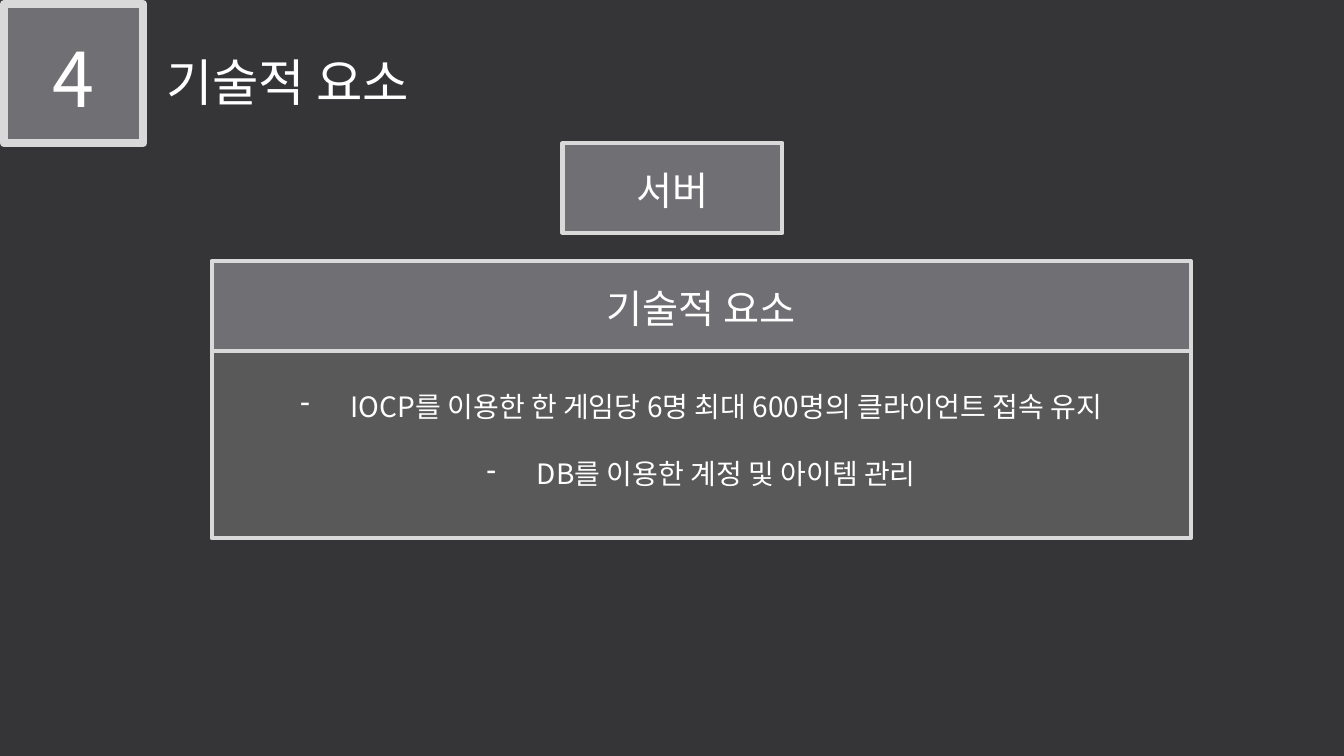
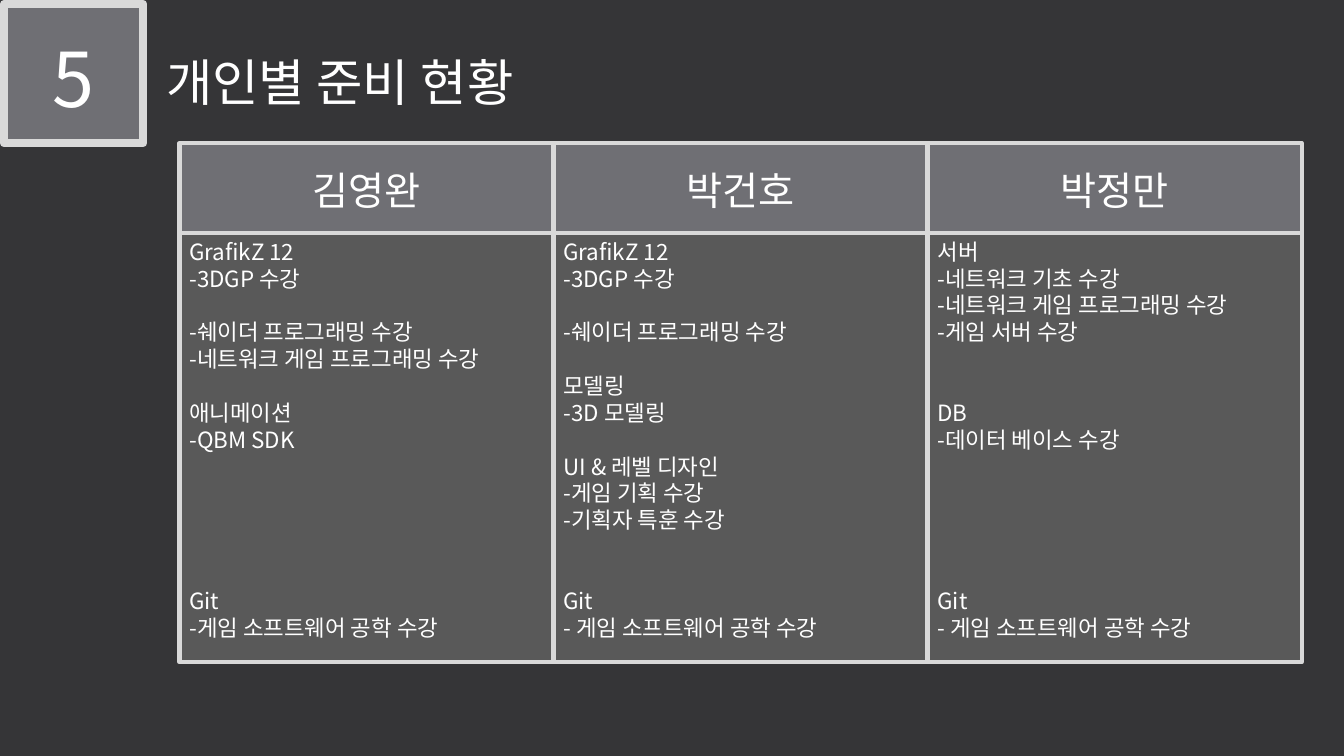
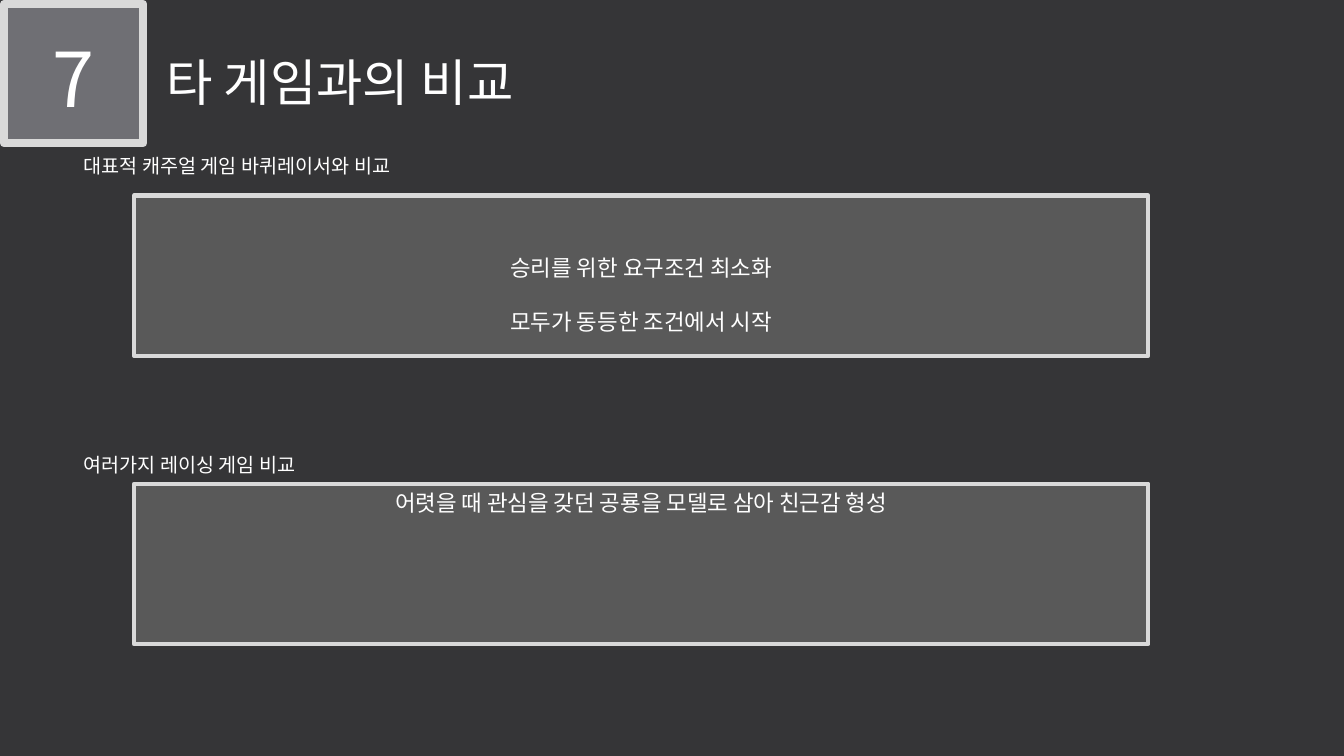
from lxml.etree import SubElement
from pptx import Presentation
from pptx.dml.color import RGBColor
from pptx.enum.shapes import MSO_SHAPE as Shape
from pptx.enum.text import MSO_ANCHOR as Anchor, PP_ALIGN as Align
from pptx.oxml.ns import qn
from pptx.util import Emu, Pt

EMU_PER_PX = 9144  # 100 px to the inch
FONT = "Noto Sans CJK KR"
BACKGROUND, HEADING, BODY = "353537", "6F6F74", "595959"
BORDER, TEXT = "D9D9D9", "FFFFFF"
HEADING_SPACING, BODY_SPACING = 1.3, 1.2
HEADER_HEIGHT = 89
PANEL_BORDER, BADGE_BORDER = 3, 6

# Body lines are (empty lines before, text)
SERVER_POINTS = [
    (1, "IOCP를 이용한 한 게임당 6명 최대 600명의 클라이언트 접속 유지"),
    (1, "DB를 이용한 계정 및 아이템 관리"),
]
MEMBERS = {
    "김영완": [
        (0, "GrafikZ 12"), (0, "-3DGP 수강"),
        (1, "-쉐이더 프로그래밍 수강"), (0, "-네트워크 게임 프로그래밍 수강"),
        (1, "애니메이션"), (0, "-QBM SDK"),
        (5, "Git"), (0, "-게임 소프트웨어 공학 수강"),
    ],
    "박건호": [
        (0, "GrafikZ 12"), (0, "-3DGP 수강"),
        (1, "-쉐이더 프로그래밍 수강"),
        (1, "모델링"), (0, "-3D 모델링"),
        (1, "UI & 레벨 디자인"), (0, "-게임 기획 수강"), (0, "-기획자 특훈 수강"),
        (2, "Git"), (0, "- 게임 소프트웨어 공학 수강"),
    ],
    "박정만": [
        (0, "서버"), (0, "-네트워크 기초 수강"),
        (0, "-네트워크 게임 프로그래밍 수강"), (0, "-게임 서버 수강"),
        (2, "DB"), (0, "-데이터 베이스 수강"),
        (5, "Git"), (0, "- 게임 소프트웨어 공학 수강"),
    ],
}
COMPARISONS = [
    (146, 194, "대표적 캐주얼 게임 바퀴레이서와 비교",
     [(2, "승리를 위한 요구조건 최소화"), (1, "모두가 동등한 조건에서 시작")]),
    (443, 480, "여러가지 레이싱 게임 비교",
     [(0, "어렷을 때 관심을 갖던 공룡을 모델로 삼아 친근감 형성")]),
]


def px(length):
    return Emu(length * EMU_PER_PX)


def color(hex_code):
    return RGBColor.from_string(hex_code)


def style_paragraph(paragraph, size, align, spacing):
    paragraph.alignment = align
    paragraph.line_spacing = Pt(round(size * spacing, 1))
    for run in paragraph.runs:
        run.font.size = Pt(size)
        run.font.color.rgb = color(TEXT)
        run.font.name = FONT
        SubElement(run.font._element, qn("a:ea"), typeface=FONT)


def add_dash(paragraph, indent):
    """Give the paragraph a hanging dash as its bullet."""
    properties = paragraph._p.get_or_add_pPr()
    properties.set("marL", str(px(indent)))
    properties.set("indent", str(-px(indent)))
    SubElement(properties, qn("a:buChar"), char="-")


def add_box(slide, left, top, width, height, fill, border):
    box = slide.shapes.add_shape(
        Shape.RECTANGLE, px(left), px(top), px(width), px(height))
    box.shadow.inherit = False
    box.fill.solid()
    box.fill.fore_color.rgb = color(fill)
    box.line.color.rgb = color(BORDER)
    box.line.width = Pt(border)
    return box


def write_heading(frame, text, size, align):
    frame.vertical_anchor = Anchor.MIDDLE
    frame.text = text
    style_paragraph(frame.paragraphs[0], size, align, HEADING_SPACING)


def add_heading_box(slide, left, top, width, height, text, size=28,
                    border=PANEL_BORDER):
    box = add_box(slide, left, top, width, height, HEADING, border)
    write_heading(box.text_frame, text, size, Align.CENTER)


def add_label(slide, left, top, width, height, text, size):
    label = slide.shapes.add_textbox(px(left), px(top), px(width), px(height))
    label.text_frame.word_wrap = True
    write_heading(label.text_frame, text, size, Align.LEFT)


def add_body_box(slide, left, top, width, height, lines, size=16,
                 align=Align.CENTER, dashed=False):
    frame = add_box(slide, left, top, width, height, BODY, PANEL_BORDER).text_frame
    frame.vertical_anchor = Anchor.TOP
    frame.text = "\n".join(text for _, text in lines)
    line_height = size * BODY_SPACING
    frame.margin_top += Pt(lines[0][0] * line_height)
    for index, (paragraph, (gap, _)) in enumerate(zip(frame.paragraphs, lines)):
        style_paragraph(paragraph, size, align, BODY_SPACING)
        if index and gap:
            paragraph.space_before = Pt(round(gap * line_height, 1))
        if dashed:
            add_dash(paragraph, 50)


def add_panel(slide, left, top, width, body_height, heading, lines, **body_style):
    """Add a heading box with a body box right under it."""
    add_heading_box(slide, left, top, width, HEADER_HEIGHT, heading)
    add_body_box(slide, left, top + HEADER_HEIGHT, width, body_height, lines,
                 **body_style)


def add_numbered_slide(deck, number, title):
    slide = deck.slides.add_slide(deck.slide_layouts[6])
    add_heading_box(slide, 4, 4, 138, 138, number, 54, BADGE_BORDER)
    add_label(slide, 155, 43, 766, 71, title, 36)
    return slide


def build_technology(deck):
    slide = add_numbered_slide(deck, "4", "기술적 요소")
    add_heading_box(slide, 558, 142, 218, HEADER_HEIGHT, "서버")
    add_panel(slide, 210, 259, 971, 186, "기술적 요소", SERVER_POINTS,
              size=20, dashed=True)


def build_preparation(deck):
    slide = add_numbered_slide(deck, "5", "개인별 준비 현황")
    column_width = 371
    for column, (member, lines) in enumerate(MEMBERS.items()):
        add_panel(slide, 178 + column * column_width, 142, column_width, 426,
                  member, lines, align=Align.LEFT)


def build_comparison(deck):
    slide = add_numbered_slide(deck, "7", "타 게임과의 비교")
    for label_top, box_top, label, lines in COMPARISONS:
        add_label(slide, 73, label_top, 400, 34, label, 14)
        add_body_box(slide, 133, box_top, 1006, 159, lines)


def main():
    deck = Presentation()
    deck.slide_width, deck.slide_height = px(1333), px(750)
    background = deck.slide_master.background.fill
    background.solid()
    background.fore_color.rgb = color(BACKGROUND)
    build_technology(deck)
    build_preparation(deck)
    build_comparison(deck)
    deck.save("out.pptx")


if __name__ == "__main__":
    main()
